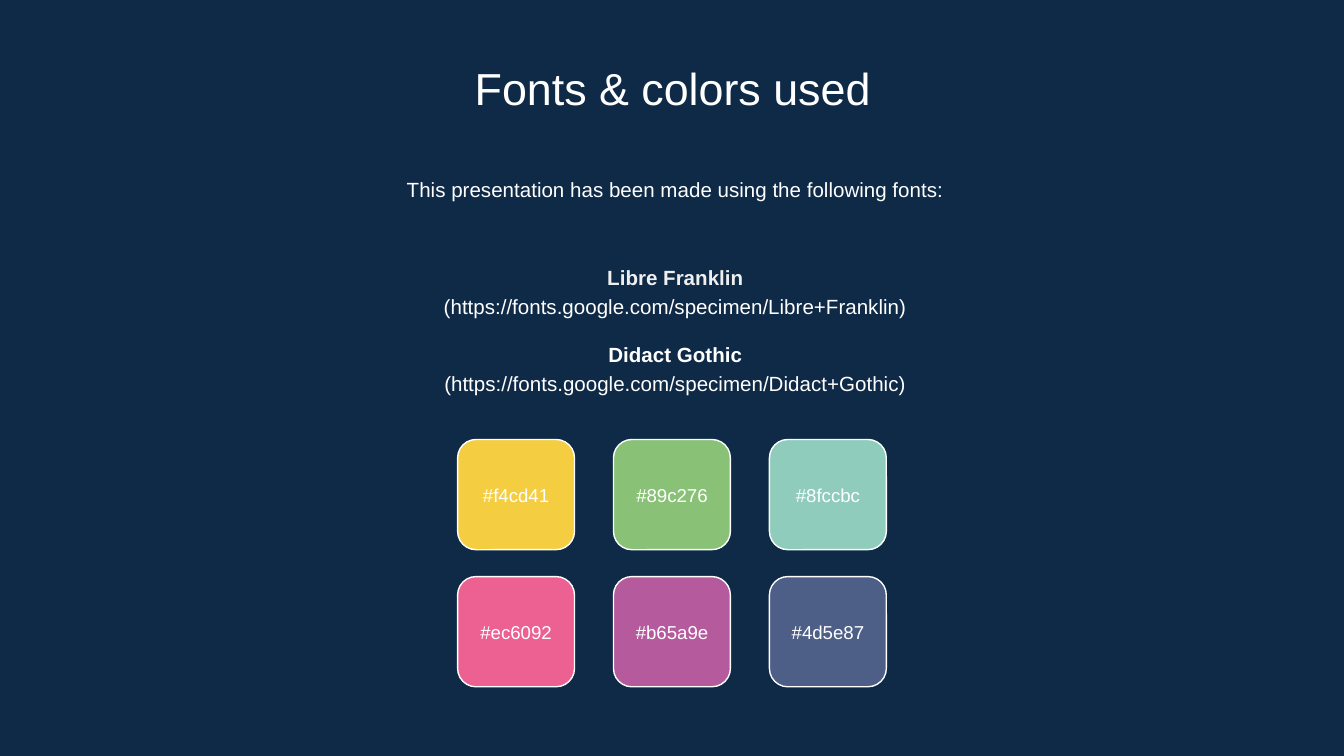
from dataclasses import dataclass

from pptx import Presentation
from pptx.dml.color import RGBColor
from pptx.enum.shapes import MSO_SHAPE as Shape
from pptx.enum.text import MSO_ANCHOR as Anchor, PP_ALIGN as Align
from pptx.util import Inches, Pt

SLIDE_WIDTH = 10
SLIDE_HEIGHT = SLIDE_WIDTH * 9 / 16


@dataclass(frozen=True)
class Theme:
    font: str = "Arial"
    background: str = "0E2A47"
    text: str = "FFFFFF"
    soft_text: str = "EFEFEF"
    title_size: int = 24
    body_size: int = 11
    label_size: int = 10
    body_spacing: float = 1.15
    outline: float = 0.75


@dataclass(frozen=True)
class Grid:
    """Swatch grid of three columns, centred across the slide."""
    top: float = 3.27
    column_step: float = 1.16
    row_step: float = 1.02
    width: float = 0.87
    height: float = 0.82

    def cell(self, column, row):
        center = SLIDE_WIDTH / 2 + (column - 1) * self.column_step
        return (center - self.width / 2, self.top + row * self.row_step,
                self.width, self.height)


THEME = Theme()
GRID = Grid()
LABEL_HEIGHT = 0.48
FONT_GAP = 11  # points between one font's link and the next font's name

FONTS = [
    ("Libre Franklin", "(https://fonts.google.com/specimen/Libre+Franklin)", THEME.soft_text),
    ("Didact Gothic", "(https://fonts.google.com/specimen/Didact+Gothic)", THEME.text),
]
SWATCHES = [
    ["#f4cd41", "#89c276", "#8fccbc"],
    ["#ec6092", "#b65a9e", "#4d5e87"],
]


def rgb(code):
    return RGBColor.from_string(code.lstrip("#").upper())


def add_text_box(slide, box, anchor=Anchor.TOP):
    frame = slide.shapes.add_textbox(*map(Inches, box)).text_frame
    frame.word_wrap = True
    frame.vertical_anchor = anchor
    frame.margin_left = frame.margin_right = Inches(0.1)
    frame.margin_top = frame.margin_bottom = Inches(0.1)
    return frame


def write(paragraph, text, size, color=THEME.text, bold=False, spacing=None):
    paragraph.text = text
    paragraph.alignment = Align.CENTER
    paragraph.line_spacing = spacing
    font = paragraph.font
    font.name, font.size, font.bold = THEME.font, Pt(size), bold
    font.color.rgb = rgb(color)


def add_line(slide, box, text, size, anchor=Anchor.TOP, spacing=None):
    """Add a text box that holds one centred paragraph."""
    frame = add_text_box(slide, box, anchor)
    write(frame.paragraphs[0], text, size, spacing=spacing)


def add_font_list(slide, box):
    frame = add_text_box(slide, box, Anchor.MIDDLE)
    for index, (name, link, color) in enumerate(FONTS):
        heading = frame.add_paragraph() if index else frame.paragraphs[0]
        write(heading, name, THEME.body_size, color, True, THEME.body_spacing)
        if index:
            heading.space_before = Pt(FONT_GAP)
        write(frame.add_paragraph(), link, THEME.body_size, spacing=THEME.body_spacing)


def add_swatch(slide, column, row, code):
    left, top, width, height = GRID.cell(column, row)
    swatch = slide.shapes.add_shape(
        Shape.ROUNDED_RECTANGLE, *map(Inches, (left, top, width, height)))
    swatch.shadow.inherit = False
    swatch.fill.solid()
    swatch.fill.fore_color.rgb = rgb(code)
    swatch.line.color.rgb = rgb(THEME.text)
    swatch.line.width = Pt(THEME.outline)
    label_top = top + (height - LABEL_HEIGHT) / 2
    add_line(slide, (left, label_top, width, LABEL_HEIGHT), code,
             THEME.label_size, Anchor.MIDDLE)


def main():
    presentation = Presentation()
    presentation.slide_width = Inches(SLIDE_WIDTH)
    presentation.slide_height = Inches(SLIDE_HEIGHT)
    slide = presentation.slides.add_slide(presentation.slide_layouts[6])
    slide.background.fill.solid()
    slide.background.fill.fore_color.rgb = rgb(THEME.background)

    add_line(slide, (1.15, 0.35, 7.71, 0.53), "Fonts & colors used", THEME.title_size)
    add_line(slide, (1.17, 1.19, 7.71, 0.48),
             "This presentation has been made using the following fonts:",
             THEME.body_size, spacing=THEME.body_spacing)
    add_font_list(slide, (1.17, 1.76, 7.71, 1.37))
    for row, codes in enumerate(SWATCHES):
        for column, code in enumerate(codes):
            add_swatch(slide, column, row, code)

    presentation.save("out.pptx")


if __name__ == "__main__":
    main()
